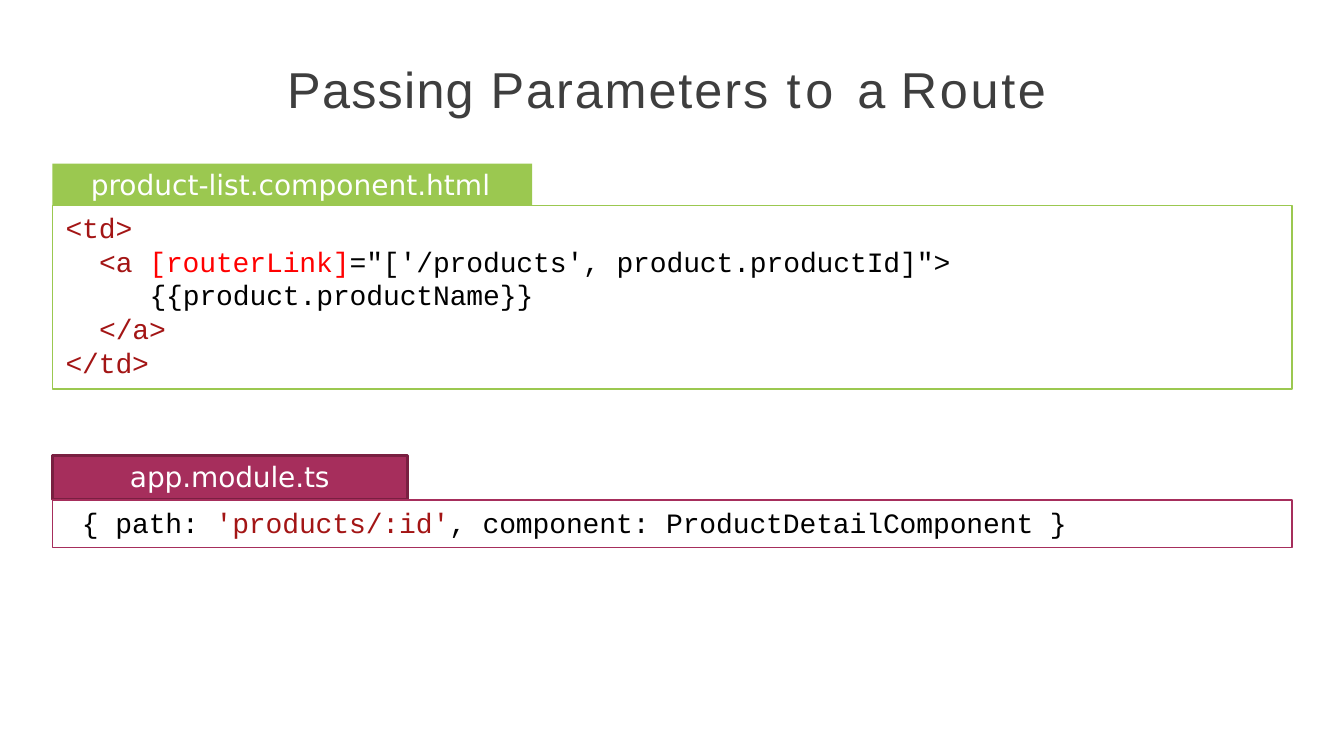
from pptx import Presentation
from pptx.dml.color import RGBColor
from pptx.enum.shapes import MSO_SHAPE
from pptx.enum.text import MSO_ANCHOR, PP_ALIGN
from pptx.util import Pt

RECTANGLE = MSO_SHAPE.RECTANGLE
TOP = MSO_ANCHOR.TOP
LEFT = PP_ALIGN.LEFT

GREEN, PLUM, DARK_PLUM = "9BC850", "A62E5C", "791F41"
WHITE, BLACK, GREY = "FFFFFF", "000000", "3E3E3E"
STRING_RED, BRIGHT_RED = "A31515", "FF0000"
MARGIN, PANEL_WIDTH = 37.44, 885.6


def color(value):
    """Turn a hex string into a colour."""
    return RGBColor.from_string(value)


def write(shape, lines, font, size, inset=0.72, before=1):
    """Fill a shape with lines of (indent, [(text, colour, spacing), ...])."""
    frame = shape.text_frame
    frame.word_wrap = True
    frame.vertical_anchor = TOP
    frame.margin_left = frame.margin_right = frame.margin_bottom = 0
    frame.margin_top = Pt(inset)
    for number, (indent, spans) in enumerate(lines):
        para = frame.add_paragraph() if number else frame.paragraphs[0]
        para.alignment = LEFT
        para.space_before = Pt(0 if number else before)
        para._p.get_or_add_pPr().set("marL", str(Pt(indent)))
        for text, tint, spacing in spans:
            span = para.add_run()
            span.text = text
            span.font.name = font
            span.font.size = Pt(size)
            span.font.color.rgb = color(tint)
            span.font._element.set("spc", str(round(spacing * 100)))


def add_text(page, left, top, width, height, lines, font, size):
    """Add a text box with the given lines."""
    box = page.shapes.add_textbox(Pt(left), Pt(top), Pt(width), Pt(height))
    write(box, lines, font, size)


def add_box(page, top, width, height, fill=None, line=None, weight=0.96):
    """Add a rectangle that starts at the left margin."""
    box = page.shapes.add_shape(RECTANGLE, Pt(MARGIN), Pt(top), Pt(width), Pt(height))
    box.shadow.inherit = False
    if fill:
        box.fill.solid()
        box.fill.fore_color.rgb = color(fill)
    else:
        box.fill.background()
    if line:
        box.line.color.rgb = color(line)
        box.line.width = Pt(weight)
    else:
        box.line.fill.background()
    return box


def add_tab(page, top, width, height, name, indent, spacing, fill, line=None):
    """Add the coloured tab that names a file."""
    tab = add_box(page, top, width, height, fill, line, 2.04)
    write(tab, [(indent, [(name, WHITE, spacing)])], "DejaVu Sans", 20, 2.88, 3)


def add_code(page, left, top, width, height, lines):
    """Add a block of source code."""
    add_text(page, left, top, width, height, lines, "Courier New", 20)


def main():
    """Build the slide and save the deck."""
    deck = Presentation()
    deck.slide_width, deck.slide_height = Pt(960), Pt(540)
    page = deck.slides.add_slide(deck.slide_layouts[6])

    title = [("Passing ", GREY, 0.9), ("Parameters ", GREY, 1.4), ("to ", GREY, 3.5),
             ("a ", GREY, 0.6), ("Route", GREY, 1.9)]
    add_text(page, 204.5, 41, 548, 45.4, [(0.72, title)], "Arial", 36)

    add_tab(page, 116.8, 342.7, 30.2, "product-list.component.html", 27.4, 0, GREEN)
    add_box(page, 147, PANEL_WIDTH, 131, line=GREEN)
    add_code(page, 46.8, 149.8, 637.2, 122.4, [
        (0, [("<td>", STRING_RED, -0.1)]),
        (24, [("<a ", STRING_RED, -0.1), ("[routerLink]", BRIGHT_RED, -0.1),
              ("=\"['/products', product.productId]\">", BLACK, -0.1)]),
        (60, [("{{product.productName}}", BLACK, -0.1)]),
        (24, [("</a>", STRING_RED, -0.1)]),
        (0, [("</td>", STRING_RED, -0.1)]),
    ])

    add_tab(page, 325.4, 253.4, 31.7, "app.module.ts", 55.4, -0.1, PLUM, DARK_PLUM)
    add_box(page, 357.1, PANEL_WIDTH, 33.8, WHITE, PLUM)
    add_code(page, MARGIN, 360, PANEL_WIDTH, 26, [
        (21, [("{ ", BLACK, 0), ("path: ", BLACK, -0.1), ("'products/:id'", STRING_RED, -0.1),
              (", component: ProductDetailComponent ", BLACK, -0.1), ("}", BLACK, 0)]),
    ])
    deck.save("out.pptx")


main()
